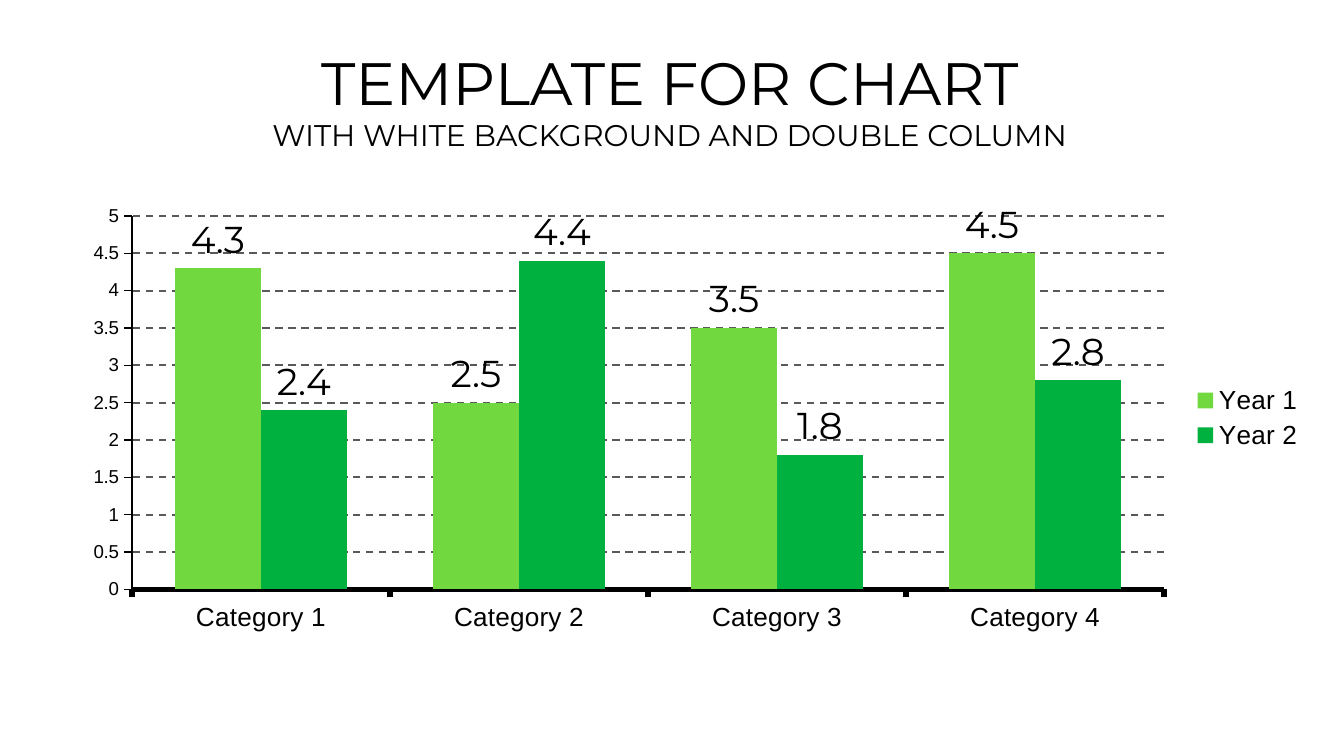
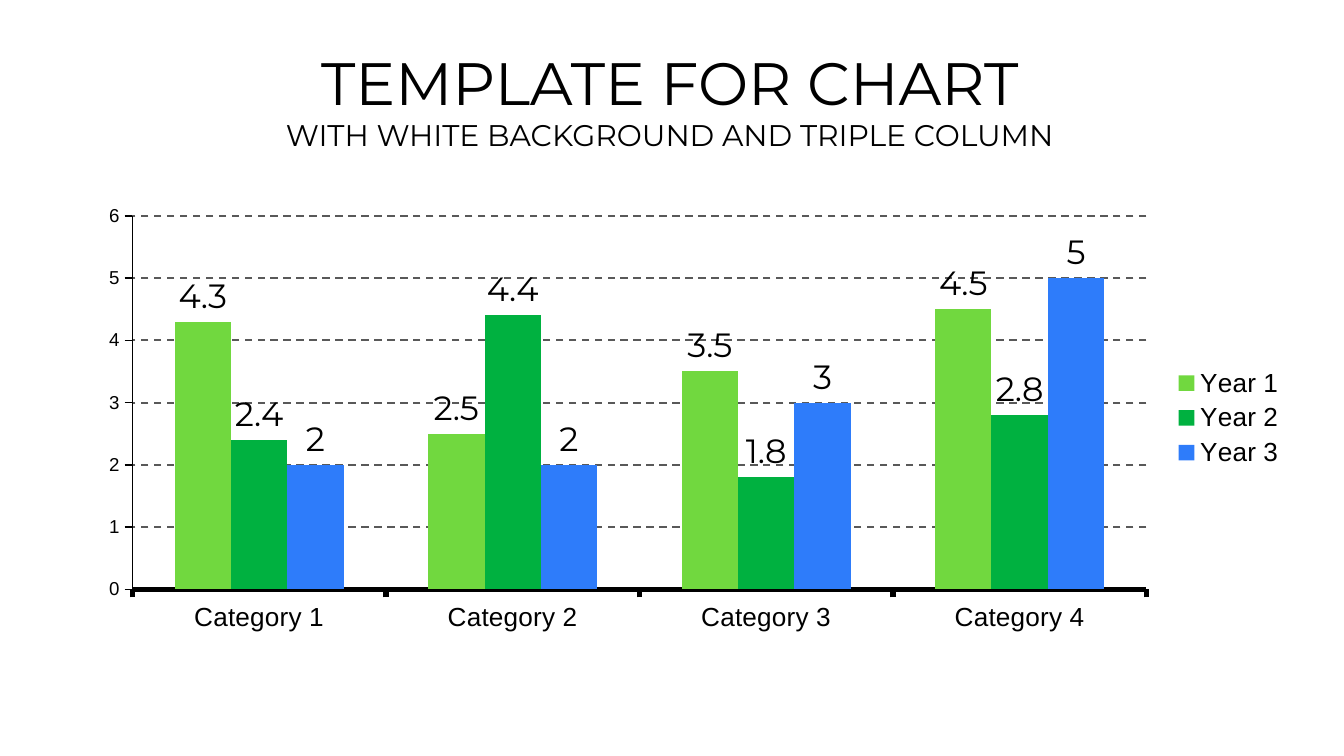
from dataclasses import dataclass
from typing import Any

from lxml.etree import SubElement
from pptx import Presentation
from pptx.chart.chart import Chart
from pptx.chart.data import CategoryChartData
from pptx.dml.color import RGBColor
from pptx.dml.line import LineFormat
from pptx.enum.chart import (XL_CHART_TYPE, XL_LABEL_POSITION,
                             XL_LEGEND_POSITION, XL_TICK_MARK)
from pptx.enum.dml import MSO_LINE
from pptx.enum.text import MSO_ANCHOR, MSO_AUTO_SIZE, PP_ALIGN
from pptx.oxml.ns import qn
from pptx.slide import Slide
from pptx.util import Inches, Pt

CELL = Inches(0.1)
SLIDE_COLUMNS, SLIDE_ROWS = 100, 56.25

COLORS = {
    "background": "FFFFFF",
    "ink": "000000",
    "grid": "595959",
    "Year 1": "71D83F",
    "Year 2": "00B140",
    "Year 3": "2E7CFA",
}
HEADING_FONT, CHART_FONT = "Montserrat", "Arial"
TITLE = "TEMPLATE FOR CHART"
CATEGORIES = [f"Category {number}" for number in range(1, 5)]
YEARS = {
    "Year 1": (4.3, 2.5, 3.5, 4.5),
    "Year 2": (2.4, 4.4, 1.8, 2.8),
    "Year 3": (2, 2, 3, 5),
}


@dataclass(frozen=True)
class Box:
    """A rectangle in grid columns and rows."""
    column: float
    row: float
    columns: float
    rows: float

    def lengths(self) -> list[int]:
        return [round(cells * CELL)
                for cells in (self.column, self.row, self.columns, self.rows)]


@dataclass(frozen=True)
class Heading:
    box: Box
    size: int
    anchor: MSO_ANCHOR
    line_spacing: float


@dataclass(frozen=True)
class ColumnSlide:
    subtitle: str
    year_count: int
    chart_box: Box
    plot_box: Box
    gap_width: int
    label_size: int
    axis_maximum: float
    axis_step: float


TITLE_STYLE = Heading(Box(6.3, 4.45, 87.1, 2.9), 32, MSO_ANCHOR.TOP, 0.8)
SUBTITLE_STYLE = Heading(Box(6.3, 8.2, 87.1, 3.6), 16, MSO_ANCHOR.MIDDLE, 1.0)

COLUMN_SLIDES = [
    ColumnSlide("WITH WHITE BACKGROUND AND DOUBLE COLUMN", 2,
                Box(5.1, 14.6, 92.9, 33), Box(9.83, 16.07, 76.8, 27.8),
                100, 20, 5, 0.5),
    ColumnSlide("WITH WHITE BACKGROUND AND TRIPLE COLUMN", 3,
                Box(6.3, 14.6, 90.3, 33), Box(9.86, 16.07, 75.45, 27.8),
                150, 18, 6, 1),
]


def apply_format(target: Any, values: dict[str, Any]) -> None:
    for name, value in values.items():
        setattr(target, name, value)


def color(name: str) -> RGBColor:
    return RGBColor.from_string(COLORS[name])


def format_font(font: Any, size: int, name: str = CHART_FONT) -> None:
    apply_format(font, {"size": Pt(size), "name": name, "bold": False})
    font.color.rgb = color("ink")


def format_line(line: LineFormat, color_name: str, width: float) -> None:
    line.color.rgb = color(color_name)
    line.width = Pt(width)


def fill_heading(shape: Any, text: str, style: Heading) -> None:
    apply_format(shape, dict(zip(("left", "top", "width", "height"),
                                 style.box.lengths())))
    frame = shape.text_frame
    frame.text = text
    margins = dict.fromkeys(
        ("margin_left", "margin_top", "margin_right", "margin_bottom"), 0)
    apply_format(frame, margins | {
        "word_wrap": True,
        "auto_size": MSO_AUTO_SIZE.NONE,
        "vertical_anchor": style.anchor,
    })
    paragraph = frame.paragraphs[0]
    apply_format(paragraph, {
        "alignment": PP_ALIGN.CENTER,
        "line_spacing": style.line_spacing,
        "space_before": Pt(0),
    })
    format_font(paragraph.runs[0].font, style.size, HEADING_FONT)


def place_plot(chart: Chart, chart_box: Box, plot_box: Box) -> None:
    """Fix the inner plot area as shares of the chart frame."""
    plot_area = chart.element.find(".//" + qn("c:plotArea"))
    for layout in plot_area.findall(qn("c:layout")):
        plot_area.remove(layout)
    layout = SubElement(plot_area, qn("c:layout"))
    plot_area.insert(0, layout)
    manual = SubElement(layout, qn("c:manualLayout"))
    settings = {
        "layoutTarget": "inner",
        "xMode": "edge",
        "yMode": "edge",
        "x": (plot_box.column - chart_box.column) / chart_box.columns,
        "y": (plot_box.row - chart_box.row) / chart_box.rows,
        "w": plot_box.columns / chart_box.columns,
        "h": plot_box.rows / chart_box.rows,
    }
    for name, value in settings.items():
        SubElement(manual, qn(f"c:{name}")).set("val", str(value))


def format_axes(chart: Chart, content: ColumnSlide) -> None:
    category_axis, value_axis = chart.category_axis, chart.value_axis
    for axis, size, width in ((category_axis, 14, 3), (value_axis, 10, 0.75)):
        apply_format(axis, {
            "major_tick_mark": XL_TICK_MARK.OUTSIDE,
            "minor_tick_mark": XL_TICK_MARK.NONE,
        })
        apply_format(axis.tick_labels, {
            "number_format": "General",
            "number_format_is_linked": False,
        })
        format_font(axis.tick_labels.font, size)
        format_line(axis.format.line, "ink", width)
    apply_format(value_axis, {
        "minimum_scale": 0,
        "maximum_scale": content.axis_maximum,
        "major_unit": content.axis_step,
        "has_major_gridlines": True,
    })
    grid_line = value_axis.major_gridlines.format.line
    format_line(grid_line, "grid", 1)
    grid_line.dash_style = MSO_LINE.DASH


def format_series(chart: Chart, content: ColumnSlide) -> None:
    plot = chart.plots[0]
    apply_format(plot, {
        "gap_width": content.gap_width,
        "overlap": 0,
        "vary_by_categories": False,
    })
    for series in plot.series:
        series.format.fill.solid()
        series.format.fill.fore_color.rgb = color(series.name)
        series.invert_if_negative = False
        labels = series.data_labels
        apply_format(labels, {
            "show_value": True,
            "position": XL_LABEL_POSITION.OUTSIDE_END,
            "number_format": "General",
            "number_format_is_linked": False,
        })
        format_font(labels.font, content.label_size, HEADING_FONT)


def add_column_chart(slide: Slide, content: ColumnSlide) -> None:
    data = CategoryChartData()
    data.categories = CATEGORIES
    for year, values in list(YEARS.items())[:content.year_count]:
        data.add_series(year, values)
    chart = slide.shapes.add_chart(XL_CHART_TYPE.COLUMN_CLUSTERED,
                                   *content.chart_box.lengths(), data).chart
    apply_format(chart, {"has_title": False, "has_legend": True})
    format_font(chart.font, 18)
    apply_format(chart.legend, {
        "position": XL_LEGEND_POSITION.RIGHT,
        "include_in_layout": False,
    })
    format_font(chart.legend.font, 14)
    format_axes(chart, content)
    format_series(chart, content)
    place_plot(chart, content.chart_box, content.plot_box)


def main() -> None:
    presentation = Presentation()
    apply_format(presentation, {
        "slide_width": SLIDE_COLUMNS * CELL,
        "slide_height": round(SLIDE_ROWS * CELL),
    })
    background = presentation.slide_master.background.fill
    background.solid()
    background.fore_color.rgb = color("background")
    for content in COLUMN_SLIDES:
        slide = presentation.slides.add_slide(presentation.slide_layouts[0])
        fill_heading(slide.shapes.title, TITLE, TITLE_STYLE)
        fill_heading(slide.placeholders[1], content.subtitle, SUBTITLE_STYLE)
        add_column_chart(slide, content)
    presentation.save("out.pptx")


if __name__ == "__main__":
    main()
